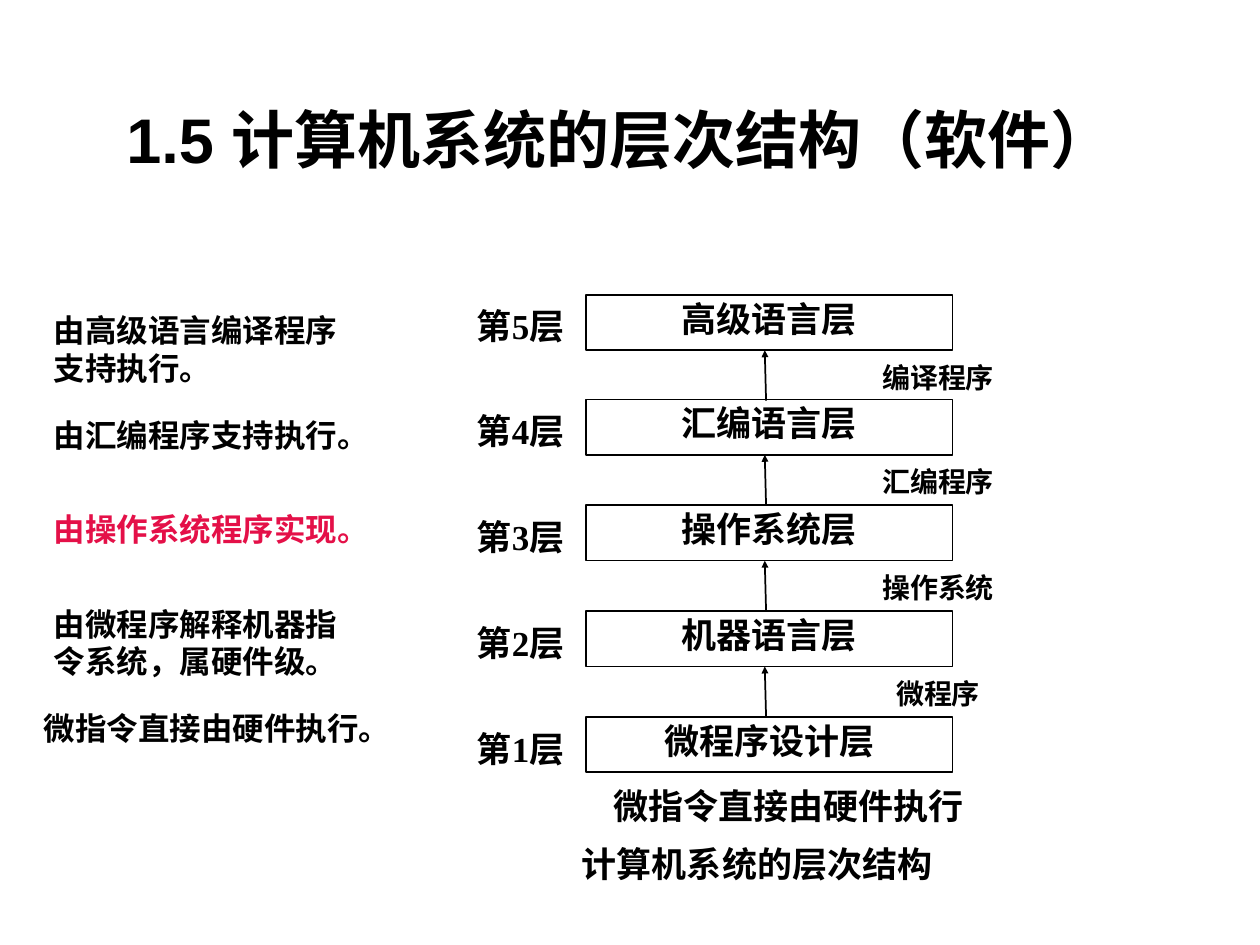
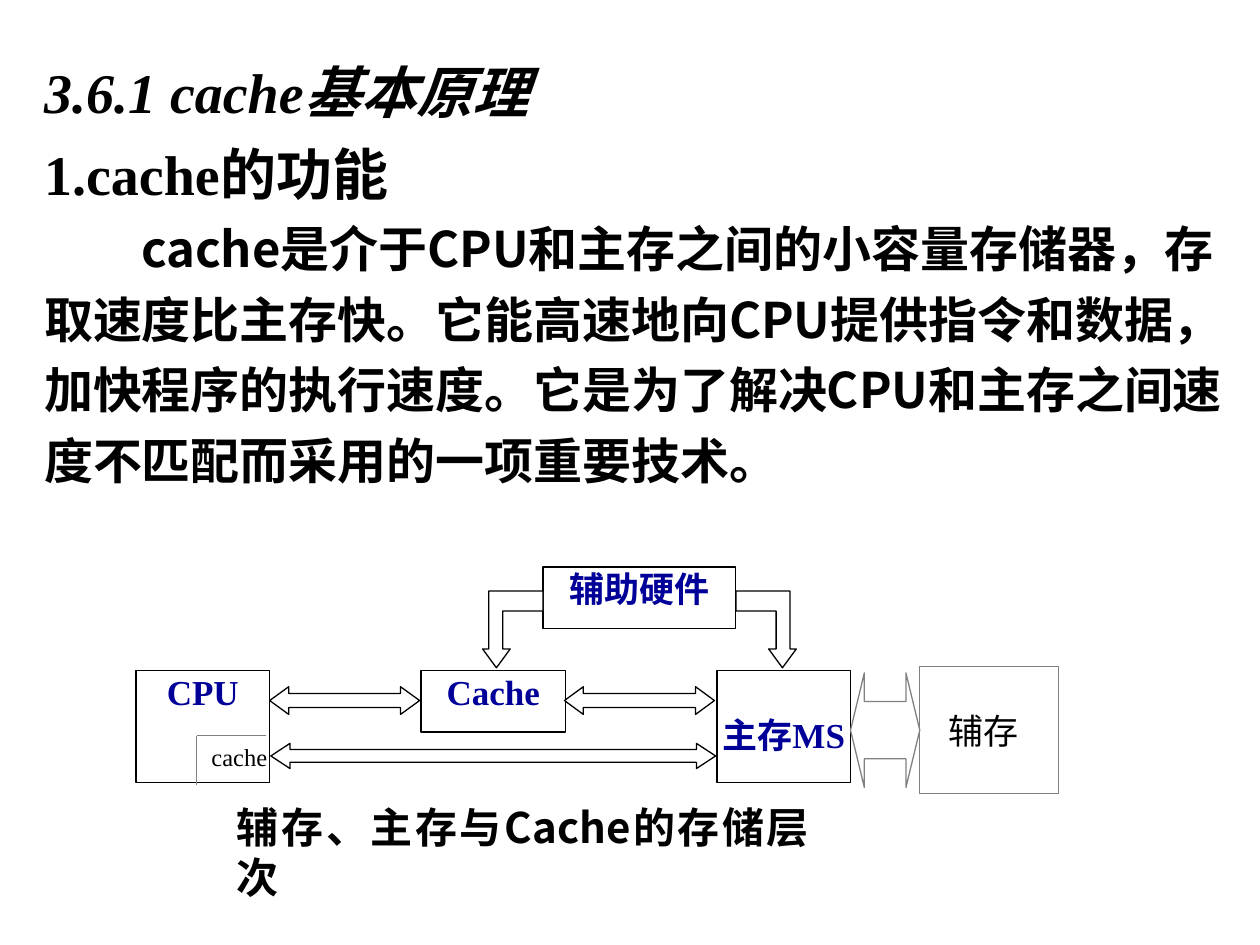
import pptx
import pptx.util
import pptx.dml.color
import pptx.enum.shapes
import pptx.enum.text
import pptx.oxml
import pptx.oxml.ns
import pptx.oxml.xmlchemy
import pptx.shapes.connector

PX = 9144
SHAPE = pptx.enum.shapes.MSO_SHAPE
STRAIGHT = pptx.enum.shapes.MSO_CONNECTOR.STRAIGHT
ALIGN = pptx.enum.text.PP_ALIGN
ANCHOR = pptx.enum.text.MSO_ANCHOR
rgb = pptx.dml.color.RGBColor.from_string
qn = pptx.oxml.ns.qn


class Theme:
    ink = rgb("000000")
    paper = rgb("FFFFFF")
    accent = rgb("E41048")
    navy = rgb("000099")
    gray = rgb("808080")
    sans = "Arial"
    serif = "Times New Roman"
    cjk = "Noto Sans CJK SC"
    title = 36
    heading = 32
    body = 28
    caption = 24
    label = 20
    note = 18
    small = 16
    tiny = 14


def write(shape, lines, size, color=Theme.ink, latin=Theme.serif, align=ALIGN.LEFT,
          anchor=ANCHOR.TOP, insets=(1, 1, 1, 1), wrap=True, bold=True, italic=False):
    frame = shape.text_frame
    left, top, right, bottom = insets
    frame_format = {
        "auto_size": pptx.enum.text.MSO_AUTO_SIZE.NONE, "word_wrap": wrap,
        "vertical_anchor": anchor, "margin_left": left * PX, "margin_top": top * PX,
        "margin_right": right * PX, "margin_bottom": bottom * PX,
    }
    for name, value in frame_format.items():
        setattr(frame, name, value)
    frame.text = "\n".join(lines)
    font_format = {"size": pptx.util.Pt(size), "bold": bold, "italic": italic, "name": latin}
    for paragraph in frame.paragraphs:
        paragraph.alignment = align
        for run in paragraph.runs:
            for name, value in font_format.items():
                setattr(run.font, name, value)
            run.font.color.rgb = color
            east_asian = pptx.oxml.parse_xml(
                f'<a:ea {pptx.oxml.ns.nsdecls("a")} typeface="{Theme.cjk}"/>')
            run.font._element.find(qn("a:latin")).addnext(east_asian)


def outline(shape, color=Theme.ink, width=0.75, fill=None):
    shape.line.color.rgb = color
    shape.line.width = pptx.util.Pt(width)
    if isinstance(shape, pptx.shapes.connector.Connector):
        shape._element.spPr.append(pptx.oxml.xmlchemy.OxmlElement("a:effectLst"))
        return
    shape.shadow.inherit = False
    if fill is None:
        shape.fill.background()
    else:
        shape.fill.solid()
        shape.fill.fore_color.rgb = fill


TEXT_INSETS = (10, 5, 10, 5)
deck = pptx.Presentation()
deck.slide_width, deck.slide_height = 1000 * PX, 750 * PX

layers = deck.slides.add_slide(deck.slide_layouts[5])
title = layers.shapes.title
title.left, title.top, title.width, title.height = 2 * PX, 47 * PX, 980 * PX, 125 * PX
write(title, ["1.5 计算机系统的层次结构（软件）"], Theme.title, latin=Theme.sans,
      align=ALIGN.CENTER, anchor=ANCHOR.MIDDLE, insets=TEXT_INSETS)

explanations = [
    (33, 242, 70, ["由高级语言编译程序", "支持执行。"], Theme.ink),
    (33, 325, 40, ["由汇编程序支持执行。"], Theme.ink),
    (33, 400, 40, ["由操作系统程序实现。"], Theme.accent),
    (33, 475, 70, ["由微程序解释机器指", "令系统，属硬件级。"], Theme.ink),
    (25, 558, 40, ["微指令直接由硬件执行。"], Theme.ink),
]
for left, top, height, lines, color in explanations:
    explanation = layers.shapes.add_textbox(left * PX, top * PX, 318 * PX, height * PX)
    write(explanation, lines, Theme.note, color, Theme.cjk, insets=TEXT_INSETS)

levels = [
    ("高级语言层", "编译程序"),
    ("汇编语言层", "汇编程序"),
    ("操作系统层", "操作系统"),
    ("机器语言层", "微程序"),
    ("微程序设计层", None),
]
for index, (level_name, translator) in enumerate(levels):
    top = 234 + 335 * index // 4
    level = layers.shapes.add_shape(SHAPE.RECTANGLE, 465 * PX, top * PX, 291 * PX, 44 * PX)
    outline(level, width=1)
    write(level, [level_name], Theme.label, align=ALIGN.CENTER, insets=(1, 2, 1, 1))

    number = layers.shapes.add_textbox(274 * PX, (top + 7) * PX, 175 * PX, 38 * PX)
    write(number, [f"第{len(levels) - index}层"], Theme.label, align=ALIGN.RIGHT)

    if translator:
        support = layers.shapes.add_textbox(634 * PX, (top + 51) * PX, 221 * PX, 38 * PX)
        write(support, [translator], Theme.small, align=ALIGN.CENTER)
        ascent = layers.shapes.add_connector(
            STRAIGHT, 608 * PX, (top + 84) * PX, 607 * PX, (top + 44) * PX)
        outline(ascent, width=1)
        head = pptx.oxml.parse_xml(
            f'<a:tailEnd {pptx.oxml.ns.nsdecls("a")} type="triangle" w="sm" len="sm"/>')
        ascent.line._get_or_add_ln().append(head)

for left, top, width, caption in [
    (428, 622, 396, "微指令直接由硬件执行"),
    (273, 668, 656, "计算机系统的层次结构"),
]:
    footing = layers.shapes.add_textbox(left * PX, top * PX, width * PX, 38 * PX)
    write(footing, [caption], Theme.label, align=ALIGN.CENTER)

cache_slide = deck.slides.add_slide(deck.slide_layouts[1])
title = cache_slide.shapes.title
title.left, title.top, title.width, title.height = 25 * PX, 41 * PX, 975 * PX, 54 * PX
write(title, ["3.6.1 cache基本原理"], Theme.heading, italic=True, insets=TEXT_INSETS)

function = cache_slide.placeholders[1]
function.left, function.top, function.width, function.height = (
    25 * PX, 95 * PX, 975 * PX, 299 * PX)
write(function, [
    "1.cache的功能",
    "cache是介于CPU和主存之间的小容量存储器，存取速度比主存快。它能高速地向CPU提供指令和数据，"
    "加快程序的执行速度。它是为了解决CPU和主存之间速度不匹配而采用的一项重要技术。",
], Theme.body, latin=Theme.cjk, insets=TEXT_INSETS)
for paragraph, indent in zip(function.text_frame.paragraphs, (0, 77)):
    properties = paragraph._p.get_or_add_pPr()
    for name, value in {"marL": 0, "indent": indent * PX, "hangingPunct": 0}.items():
        properties.set(name, str(value))
    properties.append(pptx.oxml.xmlchemy.OxmlElement("a:buNone"))
    paragraph.line_spacing = 1.2
    paragraph.space_before = pptx.util.Pt(0)
subheading = function.text_frame.paragraphs[0].runs[0].font
subheading.size = pptx.util.Pt(Theme.heading)
subheading.name = Theme.serif

units = [
    ("辅助硬件", 431, 450, 153, 49, 0),
    ("CPU", 108, 532, 106, 89, 0),
    ("主存MS", 569, 532, 106, 89, 34),
    ("Cache", 334, 532, 115, 49, 0),
]
for unit_name, left, top, width, height, inset in units:
    unit = cache_slide.shapes.add_shape(
        SHAPE.RECTANGLE, left * PX, top * PX, width * PX, height * PX)
    outline(unit, fill=Theme.paper)
    write(unit, [unit_name], Theme.label, Theme.navy, align=ALIGN.CENTER,
          insets=(0, inset, 0, 0), wrap=False)

storage = cache_slide.shapes.add_shape(SHAPE.RECTANGLE, 730 * PX, 529 * PX, 110 * PX, 101 * PX)
outline(storage, Theme.gray)
write(storage, ["辅存"], Theme.label, anchor=ANCHOR.MIDDLE, insets=(23, 5, 10, 5), bold=False)

buses = [
    (448, 545, 119, 22, (0.5, 0.68), Theme.ink, Theme.paper),
    (214, 545, 119, 22, (0.5, 0.69), Theme.ink, Theme.paper),
    (215, 590, 353, 20, (0.51, 0.76), Theme.ink, Theme.paper),
    (675, 534, 55, 91, (0.5, 0.2), Theme.gray, None),
]
for left, top, width, height, proportions, color, fill in buses:
    bus = cache_slide.shapes.add_shape(
        SHAPE.LEFT_RIGHT_ARROW, left * PX, top * PX, width * PX, height * PX)
    for index, proportion in enumerate(proportions):
        bus.adjustments[index] = proportion
    outline(bus, color, fill=fill)

bend = [(621, 530), (610, 515), (616, 515), (616, 485), (584, 485),
        (584, 469), (627, 469), (627, 515), (632, 515)]
mirrored_bend = [(1015 - x, y) for x, y in bend]
for points in (bend, mirrored_bend):
    builder = cache_slide.shapes.build_freeform(*points[0], scale=PX)
    builder.add_line_segments(points[1:], close=True)
    outline(builder.convert_to_shape(), fill=Theme.paper)

for end_x, end_y in [(156, 623), (211, 584)]:
    cache_edge = cache_slide.shapes.add_connector(
        STRAIGHT, 156 * PX, 584 * PX, end_x * PX, end_y * PX)
    outline(cache_edge, Theme.gray)

inner_cache = cache_slide.shapes.add_textbox(158 * PX, 584 * PX, 70 * PX, 33 * PX)
write(inner_cache, ["cache"], Theme.tiny, insets=TEXT_INSETS, bold=False)

hierarchy = cache_slide.shapes.add_textbox(188 * PX, 636 * PX, 454 * PX, 64 * PX)
write(hierarchy, ["辅存、主存与Cache的存储层次"], Theme.caption, latin=Theme.cjk,
      align=ALIGN.JUSTIFY, insets=(0, 0, 0, 0))

deck.save("out.pptx")
